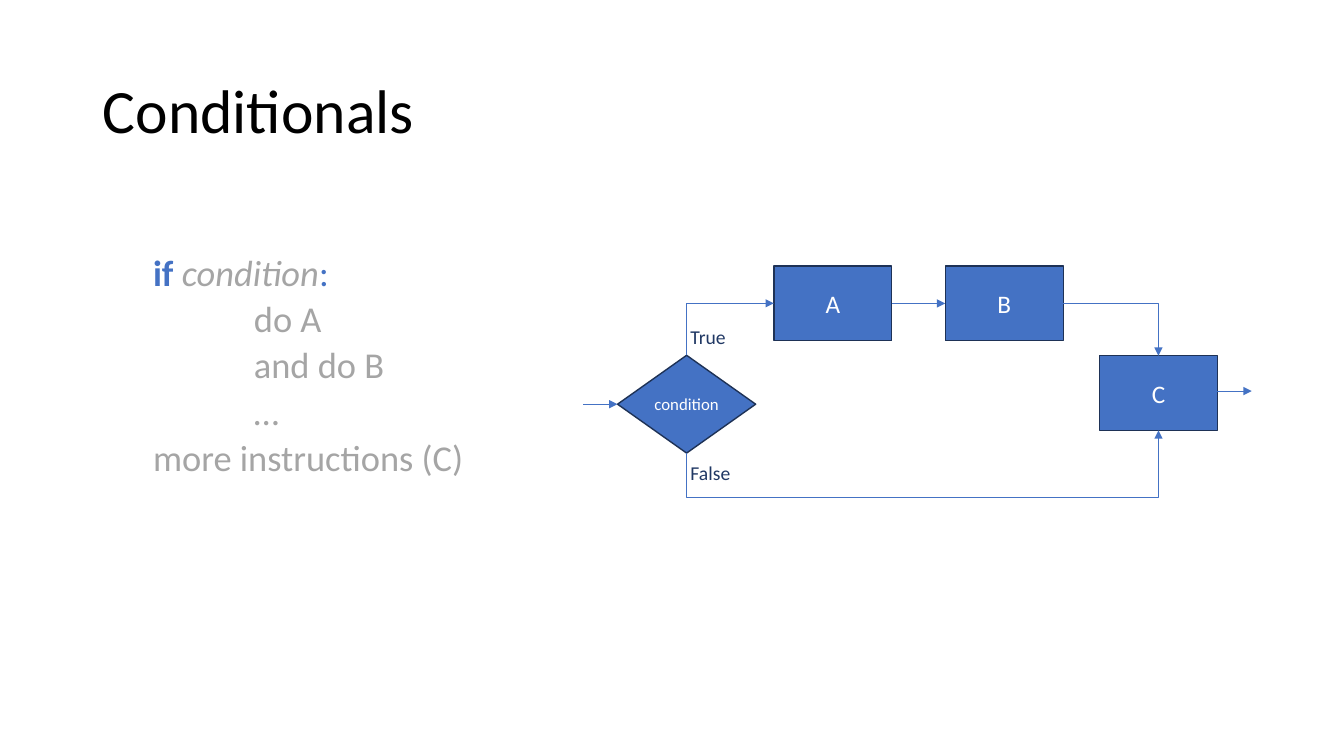
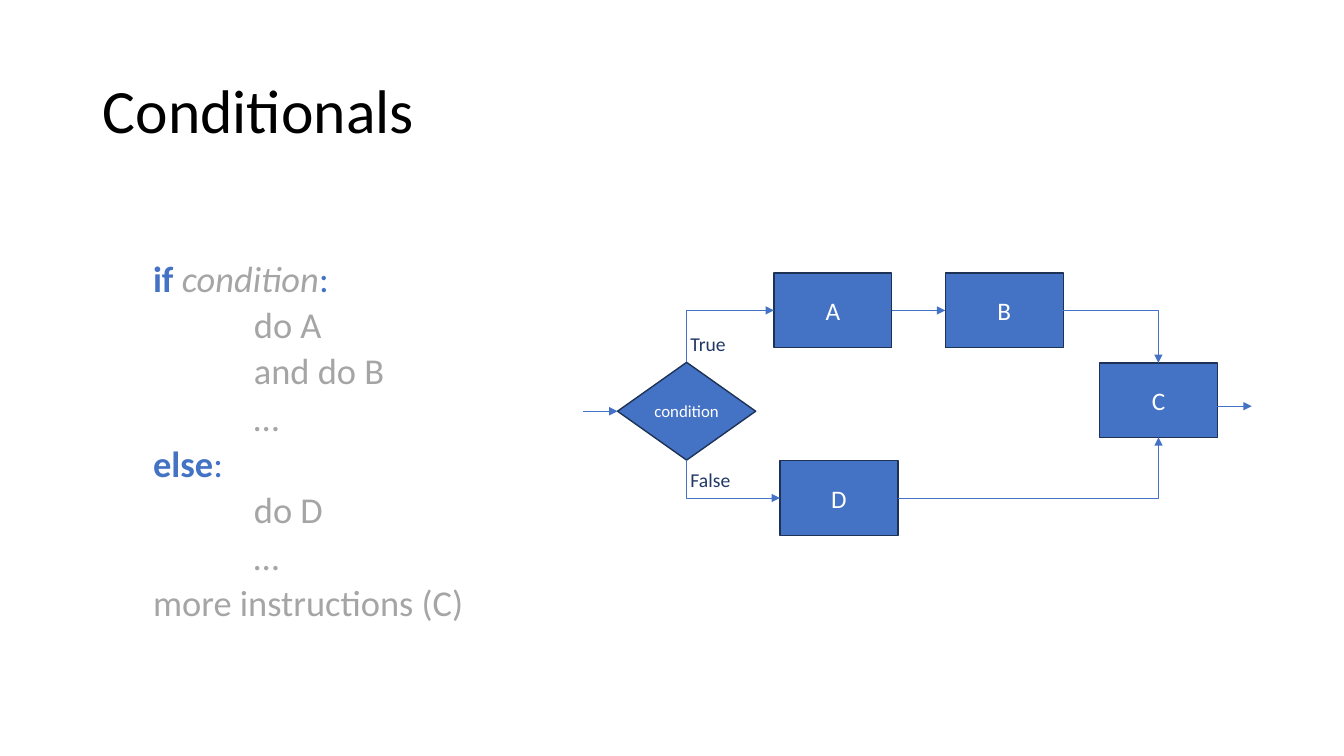
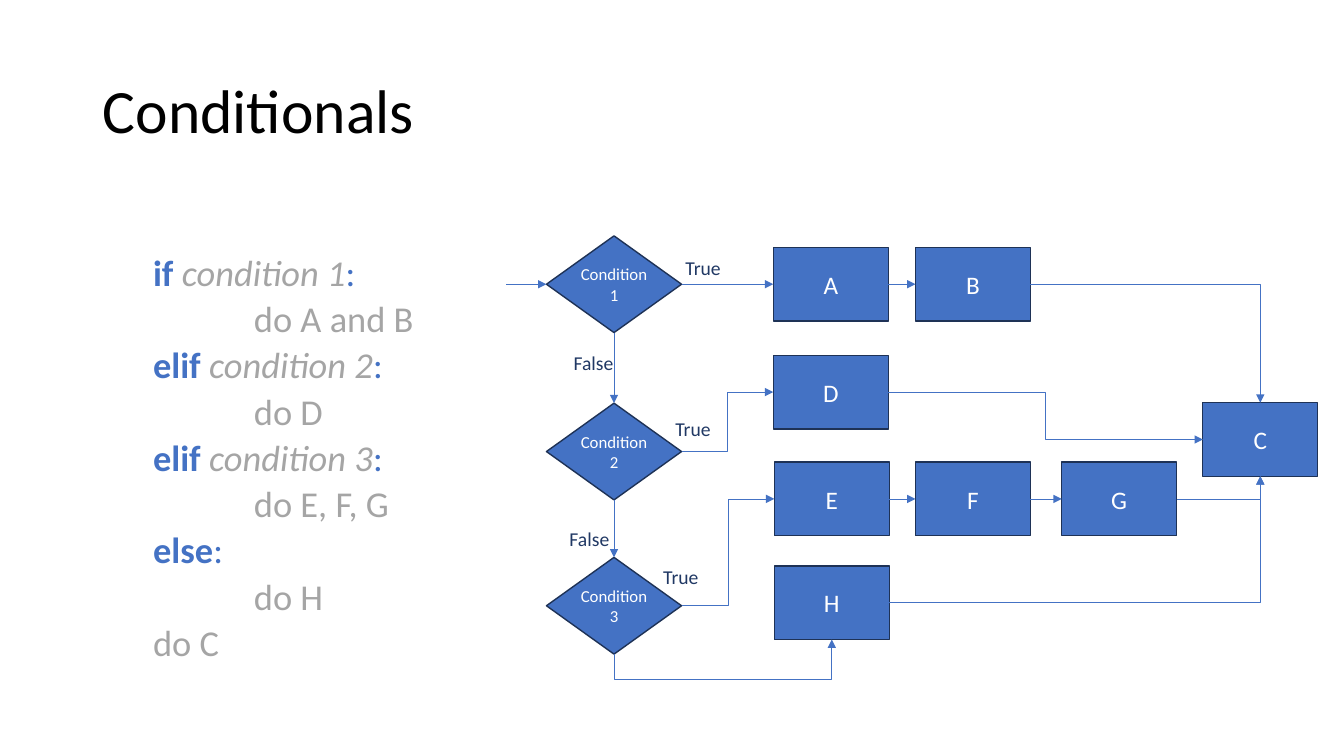
from pptx import Presentation
from pptx.dml.color import RGBColor
from pptx.enum import shapes, text
from pptx.oxml import ns
from pptx.oxml.xmlchemy import OxmlElement
from pptx.util import Inches, Pt

FONT = "Calibri"
COLORS = {
    "title": "000000",
    "accent": "4472C4",
    "muted": "A5A5A5",
    "outline": "1E3256",
    "branch": "203864",
    "on_fill": "FFFFFF",
}
TOP, LEFT, BOTTOM, RIGHT = range(4)
TITLE_ONLY = 5


def color(name):
    return RGBColor.from_string(COLORS[name])


def add_run(paragraph, words, size, color_name, bold=False, italic=False):
    run = paragraph.add_run()
    run.text = words
    font = run.font
    font.name, font.size = FONT, Pt(size)
    font.bold, font.italic = bold, italic
    font.color.rgb = color(color_name)


def add_titled_slide(deck):
    slide = deck.slides.add_slide(deck.slide_layouts[TITLE_ONLY])
    title = slide.shapes.title
    title.left, title.top = Inches(0.92), Inches(0.4)
    title.width, title.height = Inches(11.5), Inches(1.45)
    frame = title.text_frame
    frame.vertical_anchor = text.MSO_ANCHOR.MIDDLE
    heading = frame.paragraphs[0]
    heading.alignment = text.PP_ALIGN.LEFT
    heading.line_spacing = 0.9
    add_run(heading, "Conditionals", 44, "title")
    return slide


def clause(keyword, condition=None):
    if condition is None:
        return 0, [(keyword, "accent", True), (":", "accent")]
    return 0, [
        (keyword + " ", "accent", True),
        (condition, "muted", False, True),
        (":", "accent"),
    ]


def step(words, indent=1):
    return indent, [(words, "muted")]


def add_code(slide, top, lines):
    code = slide.shapes.add_textbox(
        Inches(1.42), Inches(top), Inches(3.6), Inches(0.1 + 0.47 * len(lines))
    )
    frame = code.text_frame
    frame.word_wrap = True
    for number, (indent, parts) in enumerate(lines):
        line = frame.add_paragraph() if number else frame.paragraphs[0]
        line.line_spacing = 0.9
        line.space_before = Pt(5 if number else 0)
        properties = line._p.get_or_add_pPr()
        properties.set("marL", str(Inches(indent)))
        properties.set("indent", "0")
        for words, *style in parts:
            add_run(line, words, 26, *style)


def add_node(slide, kind, words, center, size, font_size):
    (x, y), (width, height) = center, size
    node = slide.shapes.add_shape(
        kind,
        Inches(x - width / 2),
        Inches(y - height / 2),
        Inches(width),
        Inches(height),
    )
    node.shadow.inherit = False
    node.fill.solid()
    node.fill.fore_color.rgb = color("accent")
    node.line.color.rgb = color("outline")
    node.line.width = Pt(1)
    frame = node.text_frame
    frame.word_wrap = True
    frame.vertical_anchor = text.MSO_ANCHOR.MIDDLE
    paragraph = frame.paragraphs[0]
    paragraph.alignment = text.PP_ALIGN.CENTER
    add_run(paragraph, words, font_size, "on_fill")
    return node


def add_process(slide, letter, x, y, size):
    kind = shapes.MSO_SHAPE.FLOWCHART_PROCESS
    return add_node(slide, kind, letter, (x, y), size, 18)


def add_decision(slide, words, x, y, size):
    kind = shapes.MSO_SHAPE.FLOWCHART_DECISION
    decision = add_node(slide, kind, words, (x, y), size, 12)
    frame = decision.text_frame
    frame.margin_left = frame.margin_right = 0
    frame.margin_top = frame.margin_bottom = 0
    return decision


def add_branch_label(slide, words, left, top):
    label = slide.shapes.add_textbox(
        Inches(left), Inches(top), Inches(0.96), Inches(0.34)
    )
    label.text_frame.word_wrap = True
    add_run(label.text_frame.paragraphs[0], words, 14, "branch")


def add_arrow(slide, kind, start, end):
    arrow = slide.shapes.add_connector(kind, *map(int, (*start, *end)))
    arrow.line.color.rgb = color("accent")
    arrow.line.width = Pt(0.5)
    tip = OxmlElement("a:tailEnd")
    tip.set("type", "triangle")
    arrow.line._get_or_add_ln().append(tip)
    arrow._element.spPr.append(OxmlElement("a:effectLst"))
    return arrow


def side_point(node, side):
    x = node.left + node.width * {LEFT: 0, RIGHT: 1}.get(side, 0.5)
    y = node.top + node.height * {TOP: 0, BOTTOM: 1}.get(side, 0.5)
    return x, y


def add_elbow(slide, start, end, vertical_start, corners, level=None):
    (x1, y1), (x2, y2) = start, end
    if vertical_start:
        x, y = (x1 + x2) / 2, (y1 + y2) / 2
        dx, dy = x2 - x1, y2 - y1
        start = x - dy / 2, y + dx / 2
        end = x + dy / 2, y - dx / 2
    elbow = add_arrow(slide, shapes.MSO_CONNECTOR.ELBOW, start, end)
    properties = elbow._element.spPr
    if vertical_start:
        properties.find(ns.qn("a:xfrm")).set("rot", str(90 * 60000))
    geometry = properties.find(ns.qn("a:prstGeom"))
    geometry.set("prst", f"bentConnector{corners + 1}")
    if level is not None:
        turn = (Inches(level) - y1) / (y2 - y1)
        guide = OxmlElement("a:gd")
        guide.set("name", "adj1")
        guide.set("fmla", f"val {round(turn * 100000)}")
        geometry.find(ns.qn("a:avLst")).append(guide)


def link(slide, source, source_side, target, target_side, level=None):
    start = side_point(source, source_side)
    end = side_point(target, target_side)
    opposite = abs(source_side - target_side) == 2
    offset = min(abs(a - b) for a, b in zip(start, end))
    if opposite and offset < Inches(0.01):
        arrow = add_arrow(slide, shapes.MSO_CONNECTOR.STRAIGHT, start, end)
        arrow.begin_connect(source, source_side)
        arrow.end_connect(target, target_side)
        return
    vertical_start = source_side in (TOP, BOTTOM)
    corners = 2 if source_side % 2 == target_side % 2 else 1
    add_elbow(slide, start, end, vertical_start, corners, level)


def add_entry(slide, decision, length):
    x, y = side_point(decision, LEFT)
    entry = add_arrow(
        slide, shapes.MSO_CONNECTOR.STRAIGHT, (x - Inches(length), y), (x, y)
    )
    entry.end_connect(decision, LEFT)


def add_exit(slide, node, y):
    x, _ = side_point(node, RIGHT)
    add_arrow(
        slide,
        shapes.MSO_CONNECTOR.STRAIGHT,
        (x, Inches(y)),
        (x + Inches(0.34), Inches(y)),
    )


def add_single_test(slide, y, exit_y, box):
    condition = add_decision(slide, "condition", 6.81, y, (1.37, 0.97))
    a, b = (add_process(slide, name, x, y - 1, box) for name, x in (("A", 8.26), ("B", 9.96)))
    c = add_process(slide, "C", 11.49, y - 0.11, box)
    add_entry(slide, condition, 0.34)
    link(slide, condition, TOP, a, LEFT)
    link(slide, a, RIGHT, b, LEFT)
    link(slide, b, RIGHT, c, TOP)
    add_exit(slide, c, exit_y)
    add_branch_label(slide, "True", 6.75, y - 0.84)
    add_branch_label(slide, "False", 6.75, y + 0.51)
    return condition, c


def build_if(deck):
    slide = add_titled_slide(deck)
    add_code(slide, 2.48, [
        clause("if", "condition"),
        step("do A"),
        step("and do B"),
        step("…"),
        step("more instructions (C)", 0),
    ])
    condition, c = add_single_test(slide, 4.01, 3.88, (1.17, 0.74))
    link(slide, condition, BOTTOM, c, BOTTOM, level=4.93)


def build_if_else(deck):
    slide = add_titled_slide(deck)
    add_code(slide, 2.54, [
        clause("if", "condition"),
        step("do A"),
        step("and do B"),
        step("…"),
        clause("else"),
        step("do D"),
        step("…"),
        step("more instructions (C)", 0),
    ])
    box = (1.17, 0.74)
    condition, c = add_single_test(slide, 4.08, 4.03, box)
    d = add_process(slide, "D", 8.32, 4.94, box)
    link(slide, condition, BOTTOM, d, LEFT)
    link(slide, d, RIGHT, c, BOTTOM)


def build_elif(deck):
    slide = add_titled_slide(deck)
    add_code(slide, 2.48, [
        clause("if", "condition 1"),
        step("do A and B"),
        clause("elif", "condition 2"),
        step("do D"),
        clause("elif", "condition 3"),
        step("do E, F, G"),
        clause("else"),
        step("do H"),
        step("do C", 0),
    ])
    first, second, third = (
        add_decision(slide, f"Condition {number}", 6.09, y, (1.34, 0.96))
        for number, y in enumerate((2.82, 4.48, 6.01), 1)
    )
    centers = {
        "A": (8.24, 2.82),
        "B": (9.65, 2.82),
        "C": (12.5, 4.36),
        "D": (8.24, 3.89),
        "E": (8.25, 4.95),
        "F": (9.65, 4.95),
        "G": (11.1, 4.95),
        "H": (8.25, 5.98),
    }
    a, b, c, d, e, f, g, h = (
        add_process(slide, letter, x, y, (1.14, 0.73))
        for letter, (x, y) in centers.items()
    )
    add_entry(slide, first, 0.4)
    for source, target in (
        (first, a), (a, b), (second, d), (d, c), (third, e), (e, f), (f, g)
    ):
        link(slide, source, RIGHT, target, LEFT)
    for source, target in ((first, second), (second, third)):
        link(slide, source, BOTTOM, target, TOP)
    link(slide, third, BOTTOM, h, BOTTOM, level=6.74)
    link(slide, b, RIGHT, c, TOP)
    for source in (g, h):
        link(slide, source, RIGHT, c, BOTTOM)
    for words, left, top in (
        ("True", 6.7, 2.49),
        ("False", 5.59, 3.43),
        ("True", 6.6, 4.09),
        ("False", 5.55, 5.18),
        ("True", 6.48, 5.56),
    ):
        add_branch_label(slide, words, left, top)


def main():
    deck = Presentation()
    deck.slide_width, deck.slide_height = Inches(13.33), Inches(7.5)
    build_if(deck)
    build_if_else(deck)
    build_elif(deck)
    deck.save("out.pptx")


if __name__ == "__main__":
    main()
